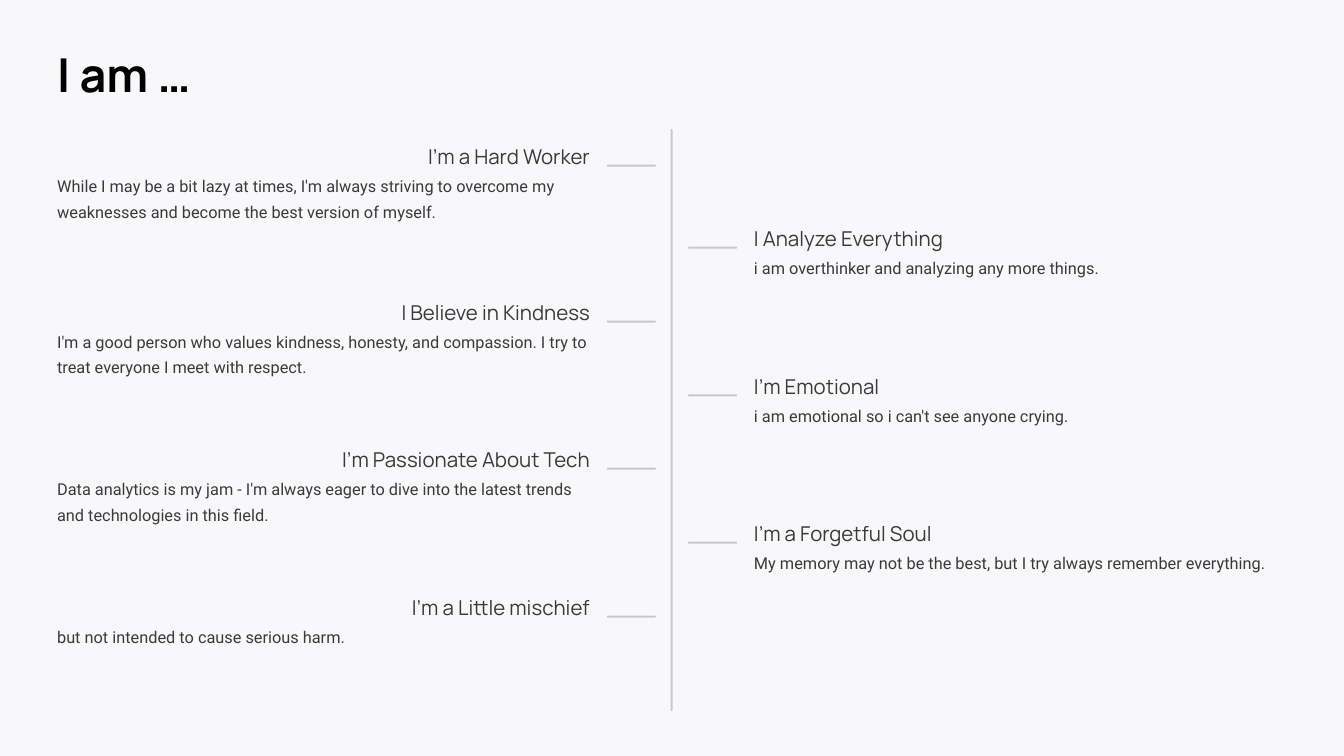
import pptx
import pptx.dml.color
import pptx.enum.shapes
import pptx.enum.text
import pptx.util

PX = 9144  # EMU per px: 100 px to the inch
COLORS = {"background": "F8F8FB", "title": "000000", "text": "3C3939", "line": "C7C7D0"}
LEFT, RIGHT = pptx.enum.text.PP_ALIGN.LEFT, pptx.enum.text.PP_ALIGN.RIGHT

FIRST_TOP, SECOND_TOP, LAST_TOP = 245, 367, 916
LEFT_EDGE, LEFT_END, RIGHT_EDGE, BODY_WIDTH = 85, 878, 1122, 793

# heading, heading width, description, lines in the description
TRAITS = [
    ("I'm a Hard Worker", 305,
     "While I may be a bit lazy at times, I'm always striving to overcome my "
     "weaknesses and become the best version of myself.", 2),
    ("I Analyze Everything", 305, "i am overthinker and analyzing any more things.", 1),
    ("I Believe in Kindness", 305,
     "I'm a good person who values kindness, honesty, and compassion. I try to "
     "treat everyone I meet with respect.", 2),
    ("I'm Emotional", 305, "i am emotional so i can't see anyone crying.", 1),
    ("I'm Passionate About Tech", 390,
     "Data analytics is my jam - I'm always eager to dive into the latest trends "
     "and technologies in this field.", 2),
    ("I'm a Forgetful Soul", 305,
     "My memory may not be the best, but I try always remember everything.", 1),
    ("I'm a Little mischief", 305, "but not intended to cause serious harm.", 1),
]
STEP = (LAST_TOP - SECOND_TOP) / (len(TRAITS) - 2)


def rgb(name):
    return pptx.dml.color.RGBColor.from_string(COLORS[name])


def write(frame, text, *, font, size, spacing, color="text", bold=False, align=LEFT):
    frame.word_wrap = True
    frame.auto_size = pptx.enum.text.MSO_AUTO_SIZE.NONE
    frame.vertical_anchor = pptx.enum.text.MSO_ANCHOR.TOP
    frame.margin_left = frame.margin_right = frame.margin_top = frame.margin_bottom = 0
    paragraph = frame.paragraphs[0]
    paragraph.text = text
    paragraph.alignment = align
    paragraph.line_spacing = pptx.util.Pt(spacing)
    paragraph.font.name = font
    paragraph.font.size = pptx.util.Pt(size)
    paragraph.font.bold = bold
    paragraph.font.color.rgb = rgb(color)


class Timeline:
    """Holds the text styles and the current slide."""

    title_style = dict(font="Manrope", size=50, spacing=62.1, color="title", bold=True)
    heading_style = dict(font="Manrope", size=21.9, spacing=26.9)
    body_style = dict(font="Roboto", size=17.5, spacing=27.5)

    def __init__(self, slide):
        self.slide = slide
        slide.background.fill.solid()
        slide.background.fill.fore_color.rgb = rgb("background")

    def title(self, text, left, top, width, height):
        title = self.slide.shapes.title
        title.left, title.top = left * PX, top * PX
        title.width, title.height = width * PX, height * PX
        write(title.text_frame, text, **self.title_style)

    def text(self, text, left, top, width, height, **style):
        box = self.slide.shapes.add_textbox(left * PX, top * PX, width * PX, height * PX)
        write(box.text_frame, text, **style)

    def bar(self, left, top, width, height):
        """Draw a thin bar with round ends."""
        bar = self.slide.shapes.add_shape(
            pptx.enum.shapes.MSO_SHAPE.ROUNDED_RECTANGLE,
            left * PX, top * PX, width * PX, height * PX)
        bar.adjustments[0] = 0.5
        bar.shadow.inherit = False
        bar.fill.solid()
        bar.fill.fore_color.rgb = rgb("line")
        bar.line.fill.background()

    def trait(self, index, heading, heading_width, description, lines):
        """Place one entry; entries alternate left and right of the axis."""
        top = FIRST_TOP if index == 0 else SECOND_TOP + round((index - 1) * STEP)
        on_left = index % 2 == 0
        self.bar(903 if on_left else 1024, top, 73, 3)
        self.text(heading, LEFT_END - heading_width if on_left else RIGHT_EDGE,
                  top - 31, heading_width, 40,
                  align=RIGHT if on_left else LEFT, **self.heading_style)
        self.text(description, LEFT_EDGE if on_left else RIGHT_EDGE,
                  top + 8, BODY_WIDTH, 55 + 39 * (lines - 1), **self.body_style)


def main():
    deck = pptx.Presentation()
    deck.slide_width, deck.slide_height = 2000 * PX, 1125 * PX
    timeline = Timeline(deck.slides.add_slide(deck.slide_layouts[5]))
    timeline.title("I am …", 85, 65, 610, 119)
    timeline.bar(998, 192, 3, 866)
    for index, trait in enumerate(TRAITS):
        timeline.trait(index, *trait)
    deck.save("out.pptx")


if __name__ == "__main__":
    main()
